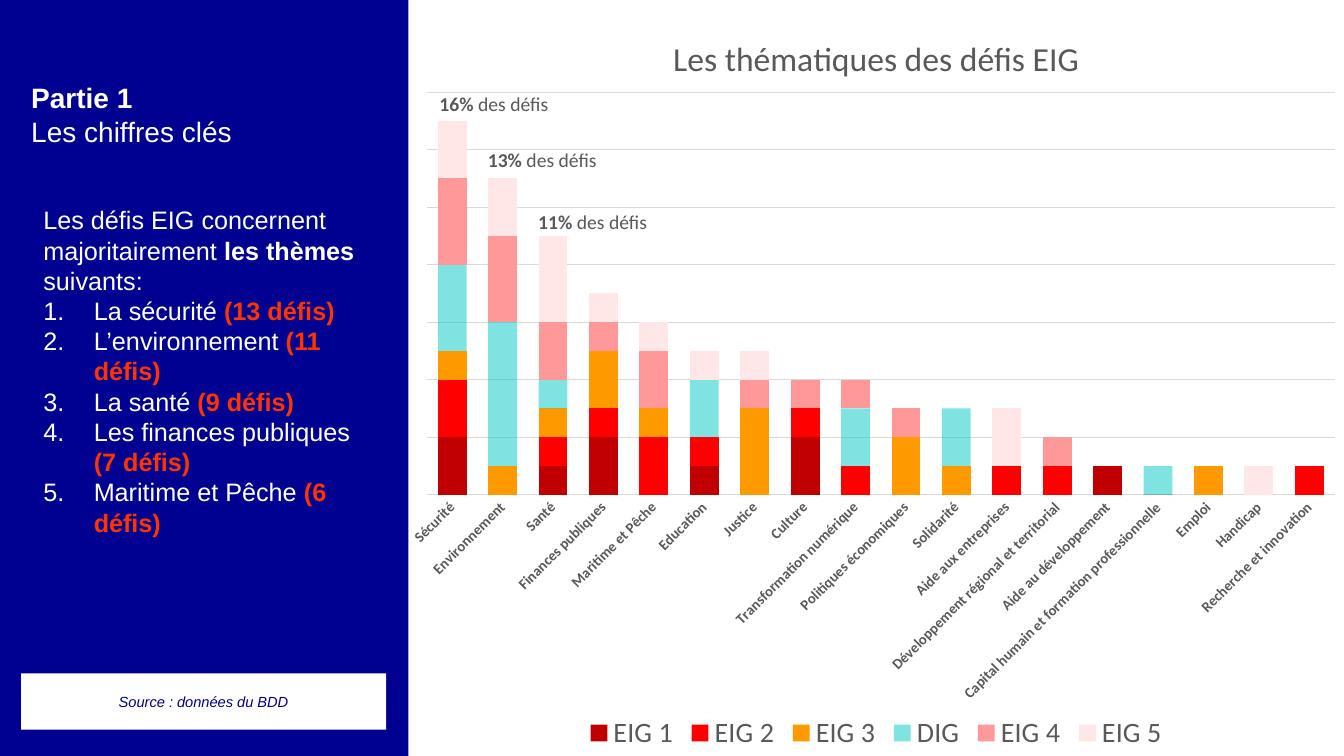
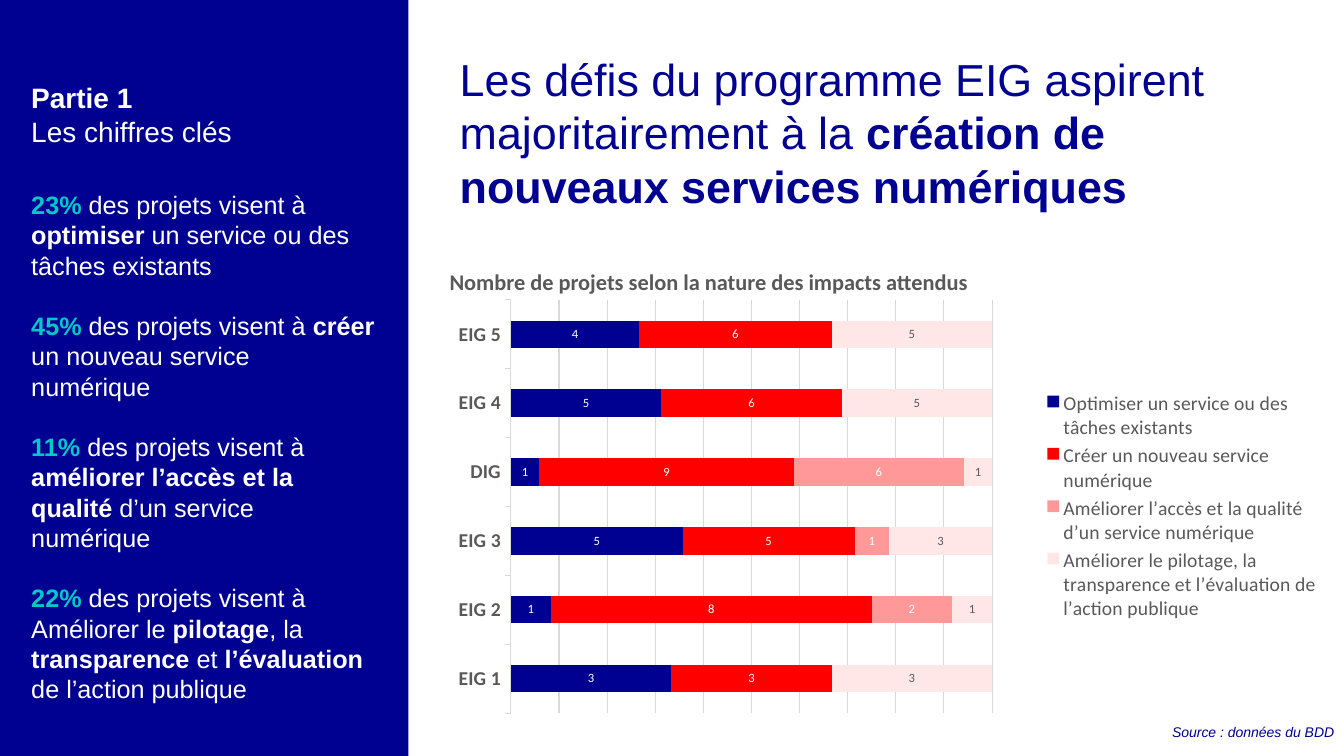
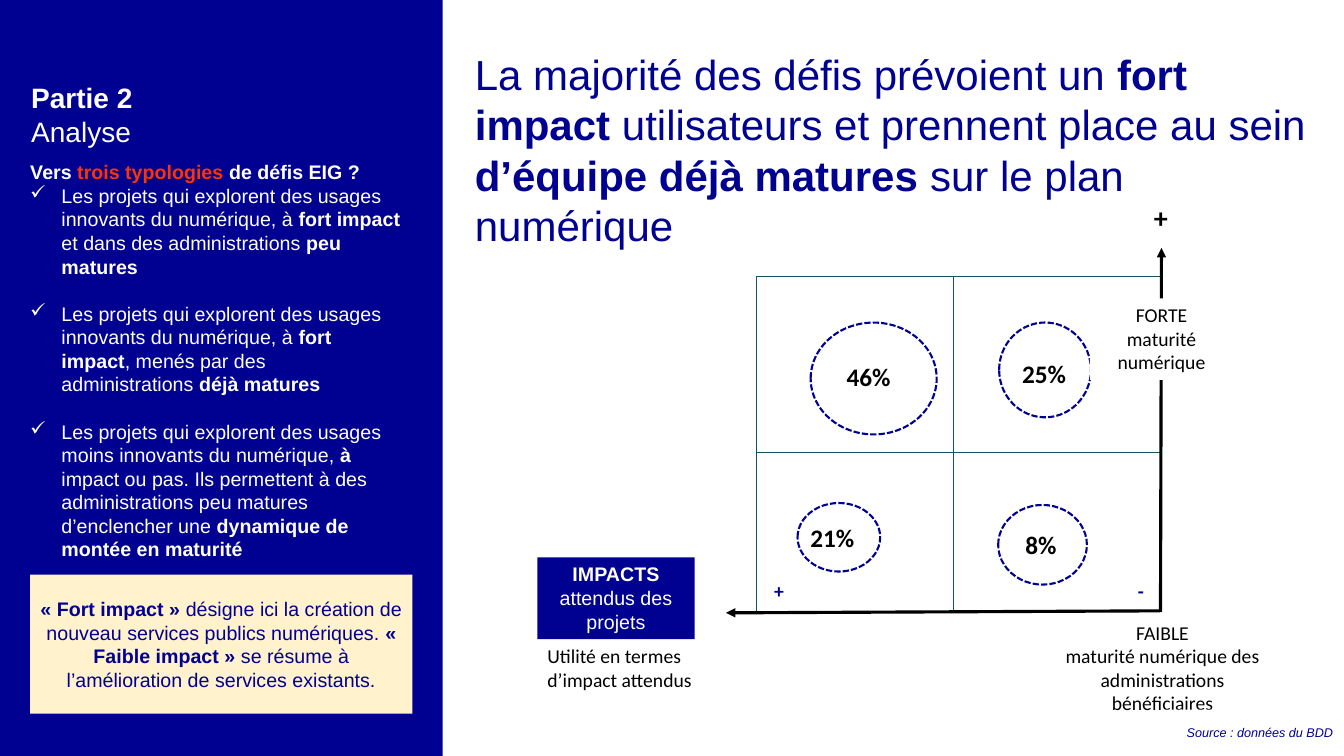
from lxml import etree
from pptx import Presentation
from pptx.chart.data import CategoryChartData
from pptx.dml.color import RGBColor
from pptx.enum.chart import XL_CHART_TYPE, XL_LEGEND_POSITION, XL_TICK_MARK
from pptx.enum.dml import MSO_LINE
from pptx.enum.shapes import MSO_CONNECTOR, MSO_SHAPE
from pptx.enum.text import MSO_ANCHOR, PP_ALIGN
from pptx.oxml import parse_xml
from pptx.oxml.ns import nsdecls, qn
from pptx.util import Inches, Pt

RECT, OVAL = MSO_SHAPE.RECTANGLE, MSO_SHAPE.OVAL
LEFT, CENTER, RIGHT = PP_ALIGN.LEFT, PP_ALIGN.CENTER, PP_ALIGN.RIGHT
TOP, MIDDLE = MSO_ANCHOR.TOP, MSO_ANCHOR.MIDDLE
COLUMNS, BARS = XL_CHART_TYPE.COLUMN_STACKED, XL_CHART_TYPE.BAR_STACKED_100
LEGEND_BOTTOM, LEGEND_RIGHT = XL_LEGEND_POSITION.BOTTOM, XL_LEGEND_POSITION.RIGHT
NO_TICK, TICK_OUT = XL_TICK_MARK.NONE, XL_TICK_MARK.OUTSIDE
DASHES = MSO_LINE.SQUARE_DOT
STRAIGHT = MSO_CONNECTOR.STRAIGHT

COLORS = {
    "navy": "000091", "white": "FFFFFF", "black": "000000", "gray": "595959",
    "grid": "D9D9D9", "orange": "FF3300", "teal": "00C8C7", "cream": "FFF2CC",
    "frame": "145362", "dark red": "C00000", "red": "FF0000", "amber": "FF9900",
    "pink": "FF9999", "pale pink": "FFE7E7",
}
SOURCE = "Source : données du BDD"


def rgb(name):
    """Return the named colour of the palette."""
    return RGBColor.from_string(COLORS[name])


def style_font(font, size, color, face="Calibri", bold=False, italic=False):
    """Set every property of a font."""
    font.name, font.size, font.bold, font.italic = face, Pt(size), bold, italic
    font.color.rgb = rgb(color)


def write(frame, text, size=14, color="white", face="Arial", italic=False,
          accent="orange", align=LEFT, bullet=None, indent=0, gap=0):
    """Fill a frame: * toggles bold, ^ the accent colour; bullets follow the first line."""
    for row, line in enumerate(text.split("\n")):
        paragraph = frame.add_paragraph() if row else frame.paragraphs[0]
        paragraph.alignment = align
        listed = bullet and row > 0
        if gap and (listed or not bullet):
            paragraph.space_after = Pt(gap)
        if listed:
            properties = paragraph._p.get_or_add_pPr()
            properties.set("marL", str(Inches(indent)))
            properties.set("indent", str(-Inches(indent)))
            if bullet == "1.":
                etree.SubElement(properties, qn("a:buAutoNum"), type="arabicPeriod")
            else:
                etree.SubElement(properties, qn("a:buChar"), char=bullet)
        for b, part in enumerate(line.split("*")):
            for a, words in enumerate(part.split("^")):
                if words:
                    run = paragraph.add_run()
                    run.text = words
                    style_font(run.font, size, accent if a % 2 else color, face, b % 2 == 1, italic)


class Deck:
    """Holds the presentation, its style and the current slide."""

    def __init__(self):
        """Start a wide presentation."""
        self.prs = Presentation()
        self.prs.slide_width, self.prs.slide_height = Inches(13.33), Inches(7.5)

    def new_slide(self, panel_width, part, chapter):
        """Add a slide with its navy side panel and chapter heading."""
        self.slide = self.prs.slides.add_slide(self.prs.slide_layouts[6])
        self.box((0, 0, panel_width, 7.5), "navy")
        self.text((0.31, 0.8, 2.17, 0.61), f"*{part}*\n{chapter}", inset=False, size=20)

    def fill_frame(self, shape, text, anchor, inset, **style):
        """Prepare the text frame of a shape and write in it."""
        frame = shape.text_frame
        frame.word_wrap, frame.vertical_anchor = True, anchor
        if not inset:
            frame.margin_left = frame.margin_right = frame.margin_top = frame.margin_bottom = 0
        write(frame, text, **style)

    def text(self, at, text, anchor=TOP, inset=True, **style):
        """Add a text box."""
        shape = self.slide.shapes.add_textbox(*map(Inches, at))
        self.fill_frame(shape, text, anchor, inset, **style)

    def box(self, at, fill, text="", line=None, width=0.75, dash=None, kind=RECT,
            anchor=TOP, **style):
        """Add a filled preset shape, with text if any."""
        shape = self.slide.shapes.add_shape(kind, *map(Inches, at))
        shape.shadow.inherit = False
        shape.fill.solid()
        shape.fill.fore_color.rgb = rgb(fill)
        if line:
            shape.line.color.rgb, shape.line.width = rgb(line), Pt(width)
            if dash:
                shape.line.dash_style = dash
        else:
            shape.line.fill.background()
        if text:
            self.fill_frame(shape, text, anchor, True, **style)

    def source(self, at, size, align=RIGHT):
        """Add the source note."""
        self.box(at, "white", SOURCE, anchor=MIDDLE, size=size, color="navy", italic=True, align=align)

    def arrow(self, start, end):
        """Add a black axis arrow."""
        axis = self.slide.shapes.add_connector(STRAIGHT, *map(Inches, start + end))
        axis.line.color.rgb, axis.line.width = rgb("black"), Pt(2.25)
        etree.SubElement(axis.line._get_or_add_ln(), qn("a:tailEnd"), type="triangle")
        etree.SubElement(axis._element.spPr, qn("a:effectLst"))

    def chart(self, kind, at, categories, series, layout, gap, top, step,
              label_size, tick, legend, legend_size, title=None):
        """Add a stacked chart and return it."""
        data = CategoryChartData()
        data.categories = categories
        for name, _, values in series:
            data.add_series(name, values)
        chart = self.slide.shapes.add_chart(kind, *map(Inches, at), data).chart
        style_font(chart.font, 10, "black")
        chart.has_title = bool(title)
        if title:
            write(chart.chart_title.text_frame, title, size=24, color="gray", face="Calibri", align=CENTER)
        chart.has_legend = True
        chart.legend.position, chart.legend.include_in_layout = legend, False
        style_font(chart.legend.font, legend_size, "gray")
        names, scale = chart.category_axis, chart.value_axis
        names.major_tick_mark = tick
        style_font(names.tick_labels.font, label_size, "gray", bold=True)
        scale.visible = False
        scale.minimum_scale, scale.maximum_scale, scale.major_unit = 0, top, step
        for line in (names.format.line, scale.major_gridlines.format.line):
            line.color.rgb, line.width = rgb("grid"), Pt(0.75)
        plot = chart.plots[0]
        plot.gap_width, plot.overlap, plot.vary_by_categories = gap, 100, False
        for item, (_, color, _) in zip(plot.series, series):
            item.format.fill.solid()
            item.format.fill.fore_color.rgb = rgb(color)
        area = chart.element.xpath("//c:plotArea")[0]
        for old in area.findall(qn("c:layout")):
            area.remove(old)
        sizes = "".join(f'<c:{key} val="{value}"/>' for key, value in zip("xywh", layout))
        area.insert(0, parse_xml(
            f'<c:layout {nsdecls("c")}><c:manualLayout><c:layoutTarget val="inner"/>'
            f'<c:xMode val="edge"/><c:yMode val="edge"/>{sizes}</c:manualLayout></c:layout>'))
        return chart


def themes_slide(deck):
    """Build the slide on the themes of the challenges."""
    deck.new_slide(4.05, "Partie 1", "Les chiffres clés")
    deck.text((0.43, 2.03, 3.19, 3.33),
              "Les défis EIG concernent majoritairement *les thèmes *suivants:\n"
              "La sécurité *^(13 défis)^*\nL’environnement *^(11 défis)^*\nLa santé *^(9 défis)^*\n"
              "Les finances publiques *^(7 défis)^*\nMaritime et Pêche *^(6 défis)^*",
              inset=False, size=18, bullet="1.", indent=0.5)
    deck.source((0.21, 6.68, 3.62, 0.56), 10.5, CENTER)
    themes = [
        "Sécurité", "Environnement", "Santé", "Finances publiques", "Maritime et Pêche",
        "Education", "Justice", "Culture", "Transformation numérique", "Politiques économiques",
        "Solidarité", "Aide aux entreprises", "Développement régional et territorial",
        "Aide au développement", "Capital humain et formation professionnelle", "Emploi",
        "Handicap", "Recherche et innovation"]
    editions = [
        ("EIG 1", "dark red", (40, 0, 20, 40, 0, 20, 0, 40, 0, 0, 0, 0, 0, 20, 0, 0, 0, 0)),
        ("EIG 2", "red", (40, 0, 20, 20, 40, 20, 0, 20, 20, 0, 0, 20, 20, 0, 0, 0, 0, 20)),
        ("EIG 3", "amber", (20, 20, 20, 40, 20, 0, 60, 0, 0, 40, 20, 0, 0, 0, 0, 20, 0, 0)),
        ("DIG", "teal", (60, 100, 20, 0, 0, 40, 0, 0, 40, 0, 40, 0, 0, 0, 20, 0, 0, 0)),
        ("EIG 4", "pink", (60, 60, 40, 20, 40, 0, 20, 20, 20, 20, 0, 0, 20, 0, 0, 0, 0, 0)),
        ("EIG 5", "pale pink", (40, 40, 60, 20, 20, 20, 20, 0, 0, 0, 0, 40, 0, 0, 0, 0, 20, 0))]
    chart = deck.chart(COLUMNS, (4.05, 0.1, 9.28, 7.4), themes, editions,
                       (0.02, 0.11, 0.97, 0.54), 75, 280, 40, 10.5, NO_TICK,
                       LEGEND_BOTTOM, 20, "Les thématiques des défis EIG")
    chart.element.xpath("//c:catAx/c:txPr/a:bodyPr")[0].set("rot", "-2700000")
    teal = chart.element.xpath("//c:ser[4]/c:spPr/a:solidFill/a:srgbClr")[0]
    etree.SubElement(teal, qn("a:alpha"), val="50000")
    for left, top, share in ((4.26, 0.86, 16), (4.74, 1.42, 13), (5.24, 2.03, 11)):
        deck.text((left, top, 1.96, 0.34), f"*{share}%* des défis", color="gray", face="Calibri")


def impacts_slide(deck):
    """Build the slide on the expected impacts."""
    deck.new_slide(4.05, "Partie 1", "Les chiffres clés")
    deck.text((4.56, 0.51, 8.26, 1.66),
              "Les défis du programme EIG aspirent majoritairement à la "
              "*création de nouveaux services numériques*", inset=False, size=32, color="navy")
    deck.source((11.48, 7.02, 1.85, 0.48), 10)
    deck.text((0.31, 1.88, 3.41, 5.15),
              "*^23% ^*des projets visent à *optimiser *un service ou des tâches existants\n"
              "*^45% ^*des projets visent à *créer* un nouveau service numérique\n"
              "*^11% ^*des projets visent à *améliorer l’accès et la qualité *d’un service numérique\n"
              "*^22% ^*des projets visent à Améliorer le *pilotage*, la *transparence* et "
              "*l’évaluation* de l’action publique",
              inset=False, size=18, accent="teal", gap=21.6)
    impacts = [
        ("Optimiser un service ou des tâches existants", "navy", (3, 1, 5, 1, 5, 4)),
        ("Créer un nouveau service numérique", "red", (3, 8, 5, 9, 6, 6)),
        ("Améliorer l’accès et la qualité d’un service numérique", "pink", (0, 2, 1, 6, 0, 0)),
        ("Améliorer le pilotage, la transparence et l’évaluation de l’action publique",
         "pale pink", (3, 1, 3, 1, 5, 5))]
    chart = deck.chart(BARS, (4.36, 2.89, 8.84, 4.27),
                       ["EIG 1", "EIG 2", "EIG 3", "DIG", "EIG 4", "EIG 5"], impacts,
                       (0.08, 0.02, 0.54, 0.96), 150, 1, 0.1, 14, TICK_OUT, LEGEND_RIGHT, 14)
    for item, (_, color, _) in zip(chart.plots[0].series, impacts):
        labels = item.data_labels
        labels.show_value = True
        labels.number_format, labels.number_format_is_linked = "0;;;", False
        style_font(labels.font, 9, "gray" if color == "pale pink" else "white")
    deck.text((4.36, 2.61, 5.38, 0.57), "*Nombre de projets selon la nature des impacts attendus*",
              size=16, color="gray", face="Calibri")


def maturity_slide(deck):
    """Build the slide crossing impact with digital maturity."""
    deck.new_slide(4.39, "Partie 2", "Analyse")
    for left, width in ((7.5, 1.98), (9.46, 2.05)):
        for top, height in ((2.74, 1.76), (4.49, 1.58)):
            deck.box((left, top, width, height), "white", line="frame")
    deck.arrow((11.51, 6.07), (11.52, 2.46))
    shares = [
        ("46%", (8.04, 3.2, 1.25, 1.11), (8.17, 3.54)),
        ("21%", (7.91, 4.99, 0.82, 0.68), (7.81, 5.13)),
        ("8%", (9.9, 5.01, 0.88, 0.79), (9.88, 5.2)),
        ("25%", (9.91, 3.2, 0.91, 0.94), (9.91, 3.51))]
    for share, circle, label in shares:
        deck.box(circle, "white", line="navy", width=1.5, dash=DASHES, kind=OVAL)
        deck.text(label + (0.89, 0.4), f"*{share}*", size=18, color="black", face="Calibri", align=CENTER)
    deck.text((11.3, 1.94, 0.43, 0.44), "*+*", size=20, color="black", face="Calibri", align=CENTER)
    for left, sign in ((7.58, "+"), (11.17, "-")):
        deck.text((left, 5.69, 0.29, 0.34), f"*{sign}*", color="navy", face="Calibri", align=CENTER)
    captions = [
        ((10.37, 6.11, 2.32, 1.04), "FAIBLE\nmaturité numérique des administrations bénéficiaires", CENTER),
        ((10.81, 2.96, 1.42, 0.81), "FORTE maturité numérique", CENTER),
        ((5.33, 6.34, 1.67, 0.57), "Utilité en termes d’impact attendus", LEFT)]
    for at, caption, align in captions:
        deck.box(at, "white", caption, color="black", face="Calibri", align=align)
    deck.box((5.33, 5.53, 1.56, 0.81), "navy", "*IMPACTS *attendus des projets", align=CENTER)
    deck.text((4.71, 0.48, 8.38, 1.46),
              "La majorité des défis prévoient un *fort impact *utilisateurs et prennent place au sein "
              "*d’équipe déjà matures *sur le plan numérique", inset=False, size=30, color="navy")
    deck.text((0.3, 1.59, 3.68, 4.01),
              "*Vers ^trois typologies ^de défis EIG ?*\n"
              "Les projets qui explorent des usages innovants du numérique, à *fort impact *et dans "
              "des administrations* peu matures*\n"
              "Les projets qui explorent des usages innovants du numérique, à *fort impact*, menés par "
              "des administrations *déjà matures*\n"
              "Les projets qui explorent des usages moins innovants du numérique, *à *impact ou pas. "
              "Ils permettent à des administrations peu matures d’enclencher une "
              "*dynamique de montée en maturité*",
              inset=False, bullet="✓", indent=0.31, gap=17)
    deck.box((0.3, 5.7, 3.79, 1.38), "cream",
             "*« Fort impact » *désigne ici la création de nouveau services publics numériques. "
             "*« Faible impact » *se résume à l’amélioration de services existants.",
             anchor=MIDDLE, color="navy", align=CENTER)
    deck.source((11.53, 7.04, 1.79, 0.46), 9)
    deck.arrow((11.51, 6.06), (7.2, 6.08))


def main():
    """Build the three slides and save them."""
    deck = Deck()
    themes_slide(deck)
    impacts_slide(deck)
    maturity_slide(deck)
    deck.prs.save("out.pptx")


if __name__ == "__main__":
    main()
